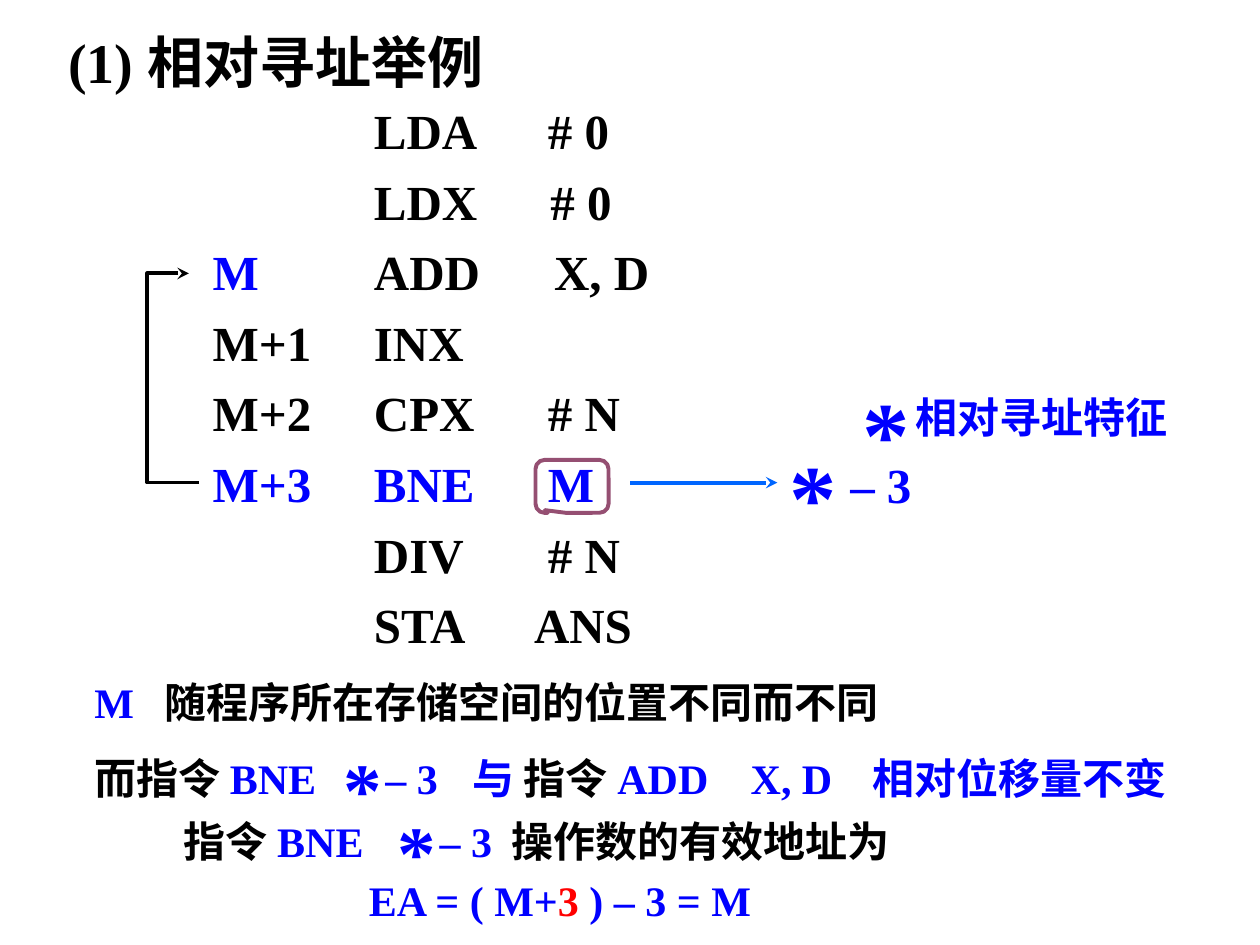
from lxml import etree
from pptx import Presentation
from pptx.dml.color import RGBColor
from pptx.enum.shapes import MSO_CONNECTOR, MSO_SHAPE
from pptx.enum.text import MSO_ANCHOR, PP_ALIGN
from pptx.oxml.ns import qn
from pptx.util import Inches, Pt

STRAIGHT = MSO_CONNECTOR.STRAIGHT
CALLOUT = MSO_SHAPE.ROUNDED_RECTANGULAR_CALLOUT
TOP = MSO_ANCHOR.TOP
LEFT = PP_ALIGN.LEFT

COLORS = {
    "black": "000000",
    "blue": "0000FF",
    "red": "FF0000",
    "arrow": "0066FF",
    "plum": "954F72",
}
FONT = "Times New Roman"
TITLE_ONLY = 5


class SlideBuilder:
    def __init__(self, deck):
        self.page = deck.slides.add_slide(deck.slide_layouts[TITLE_ONLY])

    def color(self, name):
        return RGBColor.from_string(COLORS[name])

    def fill_text(self, box, spans, size, tabs=(), top_inset=0.05):
        frame = box.text_frame
        frame.word_wrap = True
        frame.vertical_anchor = TOP
        frame.margin_top = Inches(top_inset)
        para = frame.paragraphs[0]
        para.alignment = LEFT
        if tabs:
            stops = etree.SubElement(para._p.get_or_add_pPr(), qn("a:tabLst"))
            for tab in tabs:
                etree.SubElement(stops, qn("a:tab"), pos=str(Inches(tab)), algn="l")
        for text, color in spans:
            span = para.add_run()
            span.text = text
            span.font.name = FONT
            span.font.size = Pt(size)
            span.font.bold = True
            span.font.color.rgb = self.color(color)

    def title(self, place, spans, size):
        box = self.page.shapes.title
        box.left, box.top, box.width, box.height = map(Inches, place)
        self.fill_text(box, spans, size)

    def text(self, place, spans, size, tabs=(), top_inset=0.05):
        box = self.page.shapes.add_textbox(*map(Inches, place))
        self.fill_text(box, spans, size, tabs, top_inset)

    def star(self, left, top, width, size):
        self.text((left, top, width, size / 60 + 0.1), [("*", "blue")], size)

    def offset(self, left, top, size):
        self.text((left, top, 0.8, size / 60 + 0.14), [("– 3", "blue")], size,
                  top_inset=0.09)

    def stroke(self, shape, color, arrow=False):
        shape.line.color.rgb = self.color(color)
        shape.line.width = Pt(2.25)
        if arrow:
            line = shape._element.spPr.find(qn("a:ln"))
            etree.SubElement(line, qn("a:tailEnd"), type="stealth")

    def arrow(self, start, end, color):
        line = self.page.shapes.add_connector(STRAIGHT, *map(Inches, start + end))
        self.stroke(line, color, arrow=True)
        etree.SubElement(line._element.spPr, qn("a:effectLst"))

    def bent_arrow(self, points, color):
        start, *rest = [tuple(map(Inches, point)) for point in points]
        builder = self.page.shapes.build_freeform(*start)
        builder.add_line_segments(rest, close=False)
        shape = builder.convert_to_shape()
        shape.shadow.inherit = False
        shape.fill.background()
        self.stroke(shape, color, arrow=True)

    def callout(self, place, adjustments, color):
        shape = self.page.shapes.add_shape(CALLOUT, *map(Inches, place))
        shape.shadow.inherit = False
        shape.fill.background()
        for index, value in enumerate(adjustments):
            shape.adjustments[index] = value
        self.stroke(shape, color)


def add_program(slide):
    instructions = [
        ("", "LDA\t# 0", 1.38, "black", "black"),
        ("", "LDX\t# 0", 1.4, "black", "black"),
        ("M", "ADD\tX, D", 1.43, "blue", "black"),
        ("M+1", "INX", 1.38, "black", "black"),
        ("M+2", "CPX\t# N", 1.38, "black", "black"),
        ("M+3", "BNE\tM", 1.38, "blue", "blue"),
        ("", "DIV\t# N", 1.38, "black", "black"),
        ("", "STA\tANS", 1.27, "black", "black"),
    ]
    for row, (label, code, tab, label_color, code_color) in enumerate(instructions):
        top = 0.75 + row * 0.56
        slide.text((2.87, top, 2.4, 0.57), [(code, code_color)], 28, [tab])
        if label:
            slide.text((1.59, top, 1.1, 0.57), [(label, label_color)], 28)
    slide.bent_arrow([(1.58, 3.83), (1.17, 3.83), (1.17, 2.17), (1.5, 2.17)], "black")


def add_feature(slide):
    slide.callout((4.25, 3.65, 0.58, 0.42), (-0.37, 0.45, 0.17), "plum")
    slide.arrow((5, 3.83), (6.17, 3.83), "arrow")
    slide.offset(6.65, 3.52, 28)
    slide.star(6.17, 3.42, 0.75, 54)
    slide.text((7.17, 3.06, 2.42, 0.5), [("相对寻址特征", "blue")], 24)
    slide.star(6.75, 2.92, 1.08, 54)


def add_conclusion(slide):
    slide.text((0.65, 5.32, 9.93, 0.5),
               [("M\t", "blue"), ("随程序所在存储空间的位置不同而不同", "black")],
               24, [0.56])
    slide.text((0.65, 5.92, 9.93, 0.5),
               [("而指令 ", "black"), ("BNE\t与 ", "blue"), ("指令 ", "black"),
                ("ADD\tX, D\t相对位移量不变", "blue")],
               24, [3, 5.21, 6.18])
    slide.text((1.36, 6.42, 1.8, 0.5), [("指令 ", "black"), ("BNE", "blue")], 24)
    slide.text((3.96, 6.42, 3.4, 0.5), [("操作数的有效地址为", "black")], 24)
    for left, top in [(2.63, 5.83), (3.06, 6.33)]:
        slide.offset(left + 0.33, top + 0.05, 24)
        slide.star(left, top, 0.75, 44)
    slide.text((2.83, 6.89, 3.3, 0.5),
               [("EA = ( M+", "blue"), ("3", "red"), (" ) – 3 = M", "blue")], 24)


def main():
    deck = Presentation()
    deck.slide_width, deck.slide_height = Inches(10), Inches(7.5)
    slide = SlideBuilder(deck)
    slide.title((0.44, 0.17, 6.08, 0.64), [("(1) 相对寻址举例", "black")], 32)
    add_program(slide)
    add_feature(slide)
    add_conclusion(slide)
    deck.save("out.pptx")


if __name__ == "__main__":
    main()
